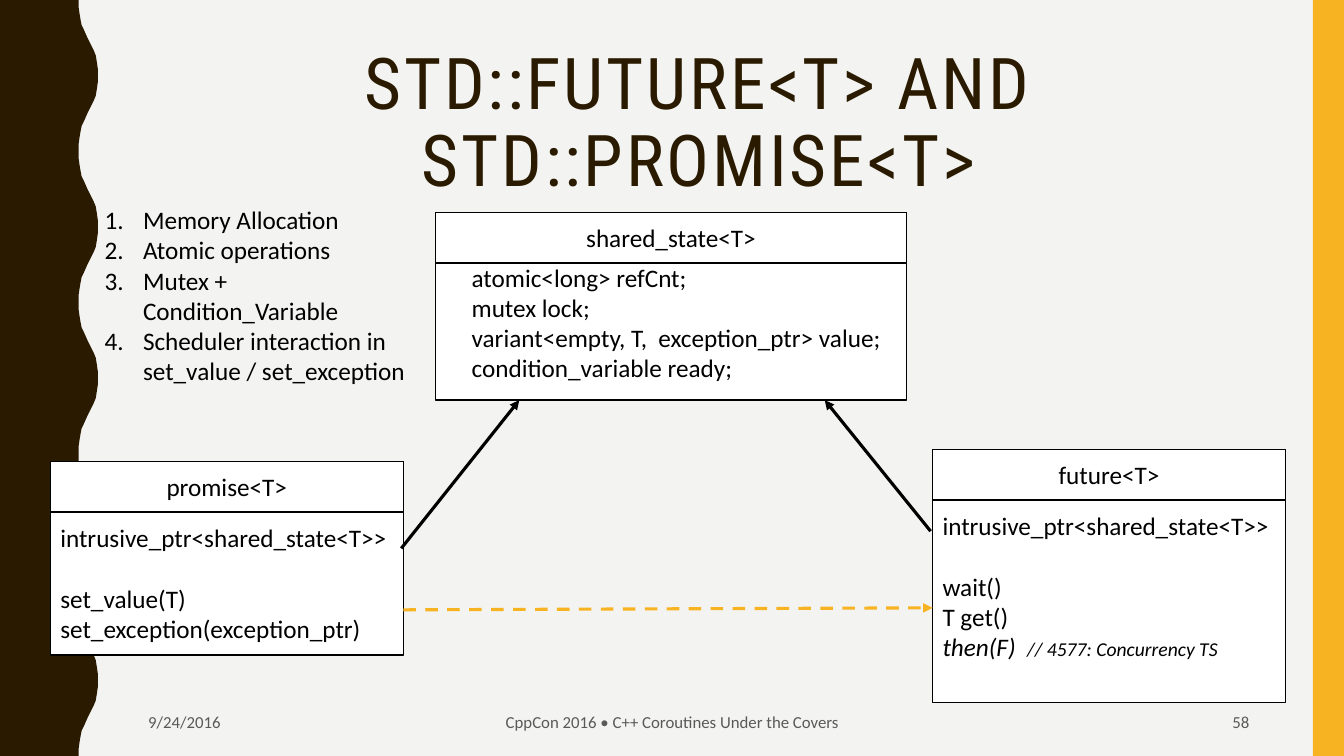
from dataclasses import dataclass

from lxml.etree import SubElement
from pptx import Presentation
from pptx.dml.color import RGBColor
from pptx.enum.dml import MSO_LINE
from pptx.enum.shapes import MSO_CONNECTOR, MSO_SHAPE
from pptx.enum.text import MSO_ANCHOR, MSO_AUTO_SIZE, PP_ALIGN
from pptx.oxml.ns import qn
from pptx.util import Inches, Pt


@dataclass(frozen=True)
class Theme:
    """Colours, fonts and type sizes of the slide."""
    background: RGBColor = RGBColor(0xF3, 0xF3, 0xF2)
    brown: RGBColor = RGBColor(0x2A, 0x1A, 0x00)
    gold: RGBColor = RGBColor(0xF8, 0xB3, 0x23)
    white: RGBColor = RGBColor(0xFF, 0xFF, 0xFF)
    black: RGBColor = RGBColor(0x00, 0x00, 0x00)
    grey: RGBColor = RGBColor(0x59, 0x59, 0x59)
    title_font: str = "Roboto Condensed"
    body_font: str = "Calibri"
    title_size: int = 51
    body_size: int = 18
    note_size: int = 14
    footer_size: int = 12


@dataclass(frozen=True)
class Member:
    """One line of a class box."""
    text: str
    note: str = ""
    starts_group: bool = False


THEME = Theme()
SLIDE_WIDTH, SLIDE_HEIGHT = 13.33, 7.5
WAVE_PERIOD = 1.5
WAVE_RISE = [(0.78, 0), (0.78, 0.07), (0.79, 0.14), (0.8, 0.2), (0.81, 0.25),
             (0.83, 0.29), (0.87, 0.38), (0.93, 0.5), (0.95, 0.55),
             (0.96, 0.61), (0.97, 0.68), (0.97, 0.75)]
COSTS = ["Memory Allocation", "Atomic operations", "Mutex +\vCondition_Variable",
         "Scheduler interaction in\vset_value / set_exception"]
SHARED_MEMBERS = [Member("atomic<long> refCnt;"), Member("mutex lock;"),
                  Member("variant<empty, T,  exception_ptr> value;"),
                  Member("condition_variable ready;")]
POINTER = Member("intrusive_ptr<shared_state<T>>")
PROMISE_MEMBERS = [POINTER, Member("set_value(T)", starts_group=True),
                   Member("set_exception(exception_ptr)")]
FUTURE_MEMBERS = [POINTER, Member("wait()", starts_group=True), Member("T get()"),
                  Member("then(F)  ", note="// 4577: Concurrency TS")]


def inches(values):
    """Turn a sequence of numbers into lengths."""
    return [Inches(value) for value in values]


def style(paragraph, size=THEME.body_size, color=THEME.black,
          font=THEME.body_font, align=PP_ALIGN.LEFT):
    """Format a whole paragraph."""
    paragraph.alignment = align
    paragraph.font.size = Pt(size)
    paragraph.font.name = font
    paragraph.font.color.rgb = color


def add_paragraphs(frame, count):
    """Return the given number of paragraphs of an empty text frame."""
    return [frame.paragraphs[0]] + [frame.add_paragraph() for _ in range(count - 1)]


def add_text_frame(slide, box):
    """Add a wrapping text box and return its frame."""
    frame = slide.shapes.add_textbox(*inches(box)).text_frame
    frame.word_wrap = True
    return frame


def add_rectangle(slide, box, fill, line=None):
    """Add a flat rectangle with an optional outline."""
    shape = slide.shapes.add_shape(MSO_SHAPE.RECTANGLE, *inches(box))
    shape.shadow.inherit = False
    shape.fill.solid()
    shape.fill.fore_color.rgb = fill
    if line is None:
        shape.line.fill.background()
    else:
        shape.line.color.rgb = line
        shape.line.width = Pt(1)
    return shape


def add_arrow(slide, start, end, color=THEME.black, dash=None):
    """Add a straight line with an arrowhead at its end."""
    arrow = slide.shapes.add_connector(MSO_CONNECTOR.STRAIGHT, *inches(start + end))
    arrow.line.color.rgb = color
    arrow.line.width = Pt(2.25)
    if dash is not None:
        arrow.line.dash_style = dash
    SubElement(arrow.line._get_or_add_ln(), qn("a:tailEnd"), type="triangle")
    SubElement(arrow._element.spPr, qn("a:effectLst"))


def add_wave(slide, height):
    """Draw the wavy band along the left edge."""
    fall = [(x, WAVE_PERIOD - y) for x, y in reversed(WAVE_RISE[:-1])]
    edge = [(x, y + WAVE_PERIOD * crest)
            for crest in range(round(height / WAVE_PERIOD)) for x, y in WAVE_RISE + fall]
    builder = slide.shapes.build_freeform(0, 0)
    builder.add_line_segments([inches(point) for point in edge + [(0, height)]])
    wave = builder.convert_to_shape()
    wave.shadow.inherit = False
    wave.fill.solid()
    wave.fill.fore_color.rgb = THEME.brown
    wave.line.fill.background()


def add_title(slide, box, text):
    """Place and format the title placeholder."""
    title = slide.shapes.title
    title.left, title.top, title.width, title.height = inches(box)
    frame = title.text_frame
    frame.text = text
    frame.word_wrap = True
    frame.auto_size = MSO_AUTO_SIZE.NONE
    frame.vertical_anchor = MSO_ANCHOR.TOP
    paragraph = frame.paragraphs[0]
    style(paragraph, THEME.title_size, THEME.brown, THEME.title_font, PP_ALIGN.CENTER)
    paragraph.line_spacing = 0.9
    paragraph.runs[0]._r.get_or_add_rPr().set("spc", "200")


def add_footer(slide, box, text, align):
    """Add one part of the footer."""
    frame = add_text_frame(slide, box)
    frame.vertical_anchor = MSO_ANCHOR.MIDDLE
    frame.text = text
    style(frame.paragraphs[0], THEME.footer_size, THEME.grey, align=align)


def add_numbered_list(slide, box, items):
    """Add an automatically numbered list."""
    frame = add_text_frame(slide, box)
    for paragraph, item in zip(add_paragraphs(frame, len(items)), items):
        paragraph.text = item
        properties = paragraph._p.get_or_add_pPr()
        properties.set("marL", str(Inches(0.38)))
        properties.set("indent", str(-Inches(0.38)))
        SubElement(properties, qn("a:buFont"), typeface="+mj-lt")
        SubElement(properties, qn("a:buAutoNum"), type="arabicPeriod")
        style(paragraph)


def add_class_box(slide, box, name, members, indent=0, text_top=0.55):
    """Draw a class with its name above its members."""
    left, top, width, height = box
    add_rectangle(slide, box, THEME.white, THEME.black)
    header = add_rectangle(slide, (left, top, width, 0.5), THEME.white, THEME.black)
    header.text_frame.text = name
    header.text_frame.vertical_anchor = MSO_ANCHOR.MIDDLE
    style(header.text_frame.paragraphs[0], align=PP_ALIGN.CENTER)
    frame = add_text_frame(
        slide, (left + indent, top + text_top, width + 0.1, height - text_top))
    for paragraph, member in zip(add_paragraphs(frame, len(members)), members):
        paragraph.text = member.text
        style(paragraph)
        if member.starts_group:
            paragraph.space_before = Pt(22)
        if member.note:
            paragraph.font.italic = True
            note = paragraph.add_run()
            note.text = member.note
            note.font.size = Pt(THEME.note_size)


def build_slide(presentation):
    """Build the diagram of a promise and a future sharing one state."""
    slide = presentation.slides.add_slide(presentation.slide_layouts[5])
    slide.background.fill.solid()
    slide.background.fill.fore_color.rgb = THEME.background
    add_wave(slide, SLIDE_HEIGHT)
    add_rectangle(slide, (13.02, 0, 0.31, SLIDE_HEIGHT), THEME.gold)
    add_title(slide, (1.37, 0.42, 11.13, 1.63), "STD::FUTURE<T> AND STD::PROMISE<T>")
    add_footer(slide, (1.37, 6.97, 2.55, 0.38), "9/24/2016", PP_ALIGN.LEFT)
    add_footer(slide, (4.42, 6.97, 4.5, 0.38),
               "CppCon 2016 • C++ Coroutines Under the Covers", PP_ALIGN.CENTER)
    add_footer(slide, (9.41, 6.97, 3.08, 0.38), "58", PP_ALIGN.RIGHT)
    add_class_box(slide, (4.32, 2.11, 4.67, 1.86), "shared_state<T>", SHARED_MEMBERS,
                  indent=0.26, text_top=0.44)
    add_class_box(slide, (9.25, 4.46, 3.5, 2.51), "future<T>", FUTURE_MEMBERS)
    add_class_box(slide, (0.5, 4.58, 3.5, 1.92), "promise<T>", PROMISE_MEMBERS)
    add_numbered_list(slide, (0.94, 1.98, 3.75, 2.22), COSTS)
    add_arrow(slide, (3.98, 5.44), (5.15, 3.97))
    add_arrow(slide, (9.23, 5.27), (8.18, 3.97))
    add_arrow(slide, (4, 6.05), (9.25, 6.03), THEME.gold, MSO_LINE.DASH)


def main():
    """Create and save the presentation."""
    presentation = Presentation()
    presentation.slide_width = Inches(SLIDE_WIDTH)
    presentation.slide_height = Inches(SLIDE_HEIGHT)
    build_slide(presentation)
    presentation.save("out.pptx")


if __name__ == "__main__":
    main()
